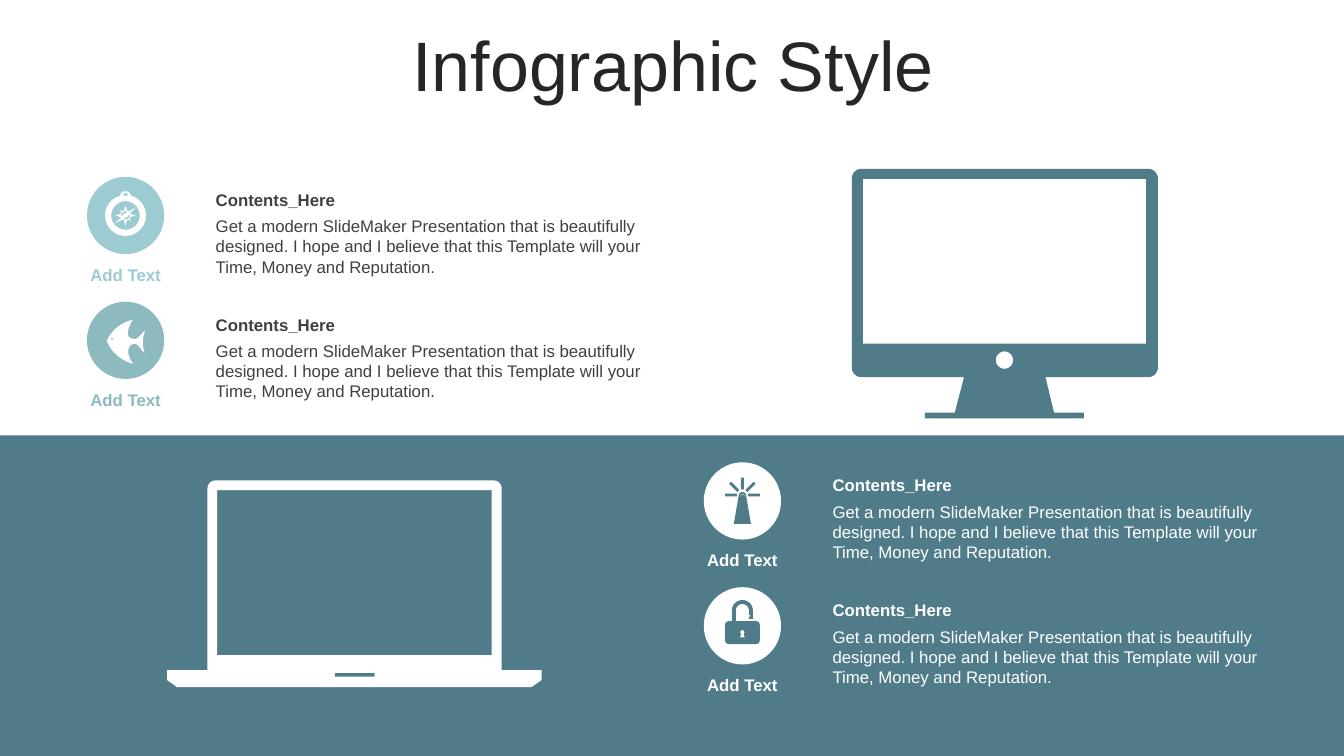
import math

import pptx
import pptx.dml.color
import pptx.enum.shapes
import pptx.enum.text
import pptx.util

Pt = pptx.util.Pt
RGBColor = pptx.dml.color.RGBColor
SHAPE = pptx.enum.shapes.MSO_SHAPE
ALIGN = pptx.enum.text.PP_ALIGN
ANCHOR = pptx.enum.text.MSO_ANCHOR

TEAL = RGBColor(0x50, 0x7C, 0x89)
AQUA = RGBColor(0x9C, 0xCC, 0xD2)
SAGE = RGBColor(0x8C, 0xBA, 0xBE)
WHITE = RGBColor(0xFF, 0xFF, 0xFF)
BLACK = RGBColor(0x26, 0x26, 0x26)
GRAY = RGBColor(0x40, 0x40, 0x40)

FONT = "Arial"
DISC = 55.2
BODY = ("Get a modern SlideMaker Presentation that is beautifully designed. "
        "I hope and I believe that this Template will your Time, Money and Reputation.")


def arc(cx, cy, radius, start, end, steps=16):
    """Points along a circle; degrees run clockwise from the right."""
    angles = [math.radians(start + (end - start) * i / steps) for i in range(steps + 1)]
    return [(cx + radius * math.cos(a), cy + radius * math.sin(a)) for a in angles]


def circle(cx, cy, radius):
    return arc(cx, cy, radius, 0, 360, 48)


def rect(left, top, right, bottom):
    return [(left, top), (right, top), (right, bottom), (left, bottom)]


def curves(start, *segments, steps=12):
    """Points along a chain of cubic Bezier segments."""
    points = [start]
    for c1, c2, end in segments:
        p0 = points[-1]
        for i in range(1, steps + 1):
            t = i / steps
            weights = ((1 - t) ** 3, 3 * t * (1 - t) ** 2, 3 * t * t * (1 - t), t ** 3)
            points.append(tuple(sum(w * q[axis] for w, q in zip(weights, (p0, c1, c2, end)))
                                for axis in (0, 1)))
    return points


def opposite(points):
    return [(-x, -y) for x, y in points]


def paint(sp, color):
    sp.shadow.inherit = False
    sp.fill.solid()
    sp.fill.fore_color.rgb = color
    sp.line.fill.background()


def add_preset(s, kind, left, top, width, height, color):
    paint(s.shapes.add_shape(kind, Pt(left), Pt(top), Pt(width), Pt(height)), color)


def add_outline(s, contours, color, cx=0, cy=0):
    """One freeform of several contours placed around (cx, cy); inner contours are holes."""
    placed = [[(Pt(cx + x), Pt(cy + y)) for x, y in contour] for contour in contours]
    builder = s.shapes.build_freeform(*placed[0][0], scale=1.0)
    builder.add_line_segments(placed[0][1:], close=True)
    for contour in placed[1:]:
        builder.move_to(*contour[0])
        builder.add_line_segments(contour[1:], close=True)
    paint(builder.convert_to_shape(), color)


def add_text(s, text, left, top, width, height, color, size=12, bold=False, align=ALIGN.LEFT):
    sp = s.shapes.add_textbox(Pt(left), Pt(top), Pt(width), Pt(height))
    tf = sp.text_frame
    tf.word_wrap = True
    tf.text = text
    p = tf.paragraphs[0]
    p.alignment = align
    font = p.runs[0].font
    font.name, font.size, font.bold, font.color.rgb = FONT, Pt(size), bold, color
    return tf


def compass():
    case = arc(0, 0, 14.6, -75, 255, 48) + arc(0, -13.3, 4, 195, 345)
    half_star = [(0, -7.2), (1, -3.7), (2.3, -2.9), (7.4, -5.8), (3.2, -1.5), (3.7, -1.1),
                 (7.3, 0), (3.7, 1), (3, 2), (4, 4), (2.2, 3), (1, 3.6)]
    half_hub = arc(0, 0, 3, -15, 120) + [(1, 1.2)]
    return [case, arc(0, -14.2, 1.8, 180, 360), circle(0, 0, 10.2),
            half_star + opposite(half_star), half_hub, opposite(half_hub)]


def fish():
    outline = curves(
        (5.4, -14.8),
        ((1.8, -10.4), (0.4, -3.2), (3.2, -1.8)),
        ((9, 0.4), (9, -2.5), (14, -7.4)),
        ((11.2, 1.1), (12.6, 4.7), (13.5, 9)),
        ((10.4, 6.8), (9, 0.4), (4, 3.2)),
        ((0.4, 6.1), (1.8, 11.9), (5.4, 16.7)),
        ((-1.1, 15.5), (-10.4, 9), (-13.3, 0.4)),
        ((-12.6, -1.8), (-7.6, -11.9), (5.4, -14.8)))
    return [outline, circle(-9.7, -1.1, 0.7)]


def lighthouse():
    def ray(degrees):
        c, n = math.cos(math.radians(degrees)), math.sin(math.radians(degrees))
        return [(x * c - y * n, x * n + y * c - 4.2) for x, y in rect(4, -1, 12.4, 1)]

    tower = arc(0, -3.6, 2.7, 180, 360) + [(6.1, 16.3), (-6.1, 16.3)]
    lamp = arc(0, -2.9, 1.9, 180, 360) + arc(0, -2.6, 1.7, 360, 180)
    return [tower, lamp] + [ray(degrees) for degrees in range(180, 361, 45)]


def padlock():
    shackle = (arc(0, -10.9, 7.5, 180, 360)
               + [(7.5, -5), (4.7, -5), (4.7, -6.6), (6, -6.8), (4.7, -8.3)]
               + arc(0, -10.9, 4.7, 360, 180))
    case = (arc(9.6, -0.5, 2.8, 270, 360) + arc(9.6, 10.3, 2.8, 0, 90)
            + arc(-9.6, 10.3, 2.8, 90, 180) + arc(-9.6, -0.5, 2.8, 180, 270))
    keyhole = arc(0, 4.6, 1.5, 130, 410) + [(1.7, 8.3), (-1.7, 8.3)]
    return [[(-7.5, -3.3)] + shackle + [(-4.7, -3.3)] + case, keyhole]


def monitor():
    frame = (arc(615.4, 127.6, 7, 180, 270) + arc(820.1, 127.6, 7, 270, 360)
             + arc(820.1, 262.4, 7, 0, 90)
             + [(746.8, 269.4), (752.9, 294.7), (774.3, 294.7), (774.3, 298.8),
                (660.7, 298.8), (660.7, 294.7), (682, 294.7), (688.6, 269.4)]
             + arc(615.4, 262.4, 7, 90, 180))
    return [frame, rect(616.4, 127.8, 818.6, 245.4), circle(717.5, 257.2, 6.2)]


def laptop():
    frame = (arc(153.9, 348.9, 5.7, 180, 270) + arc(352.6, 348.9, 5.7, 270, 360)
             + [(358.3, 478.6), (386.8, 478.6), (386.8, 485.8), (379.6, 490.8),
                (126.4, 490.8), (119.3, 485.8), (119.3, 478.6), (148.2, 478.6)])
    return [frame, rect(155.1, 350.1, 351.1, 467.9), rect(239.2, 480.7, 267.5, 483.3)]


def add_feature(s, left, top, icon, disc_color, icon_color, text_color):
    """A disc with its icon and caption, and a heading with body text beside it."""
    add_text(s, BODY, left + 84.9, top + 24.4, 323.3, 51, text_color)
    add_text(s, "Contents_Here", left + 84.9, top + 5.6, 323.3, 21.6, text_color, bold=True)
    add_preset(s, SHAPE.OVAL, left, top, DISC, DISC, disc_color)
    add_text(s, "Add Text", left - 21, top + 59, 97.2, 21.6, disc_color,
             bold=True, align=ALIGN.CENTER)
    add_outline(s, icon, icon_color, left + DISC / 2, top + DISC / 2)


def main():
    prs = pptx.Presentation()
    prs.slide_width, prs.slide_height = Pt(960), Pt(540)
    s = prs.slides.add_slide(prs.slide_layouts[6])

    add_preset(s, SHAPE.RECTANGLE, 0, 311, 960, 229, TEAL)
    add_outline(s, monitor(), TEAL)
    add_outline(s, laptop(), WHITE)

    title = add_text(s, "Infographic Style", 25.2, 22.3, 911.5, 56.9, BLACK,
                     size=50, align=ALIGN.CENTER)
    title.vertical_anchor = ANCHOR.MIDDLE
    title.paragraphs[0].line_spacing = 0.8

    add_feature(s, 62.1, 126.3, compass(), AQUA, WHITE, GRAY)
    add_feature(s, 62.1, 215.5, fish(), SAGE, WHITE, GRAY)
    add_feature(s, 502.7, 330.2, lighthouse(), WHITE, TEAL, WHITE)
    add_feature(s, 502.7, 419.4, padlock(), WHITE, TEAL, WHITE)

    prs.save("out.pptx")


if __name__ == "__main__":
    main()
